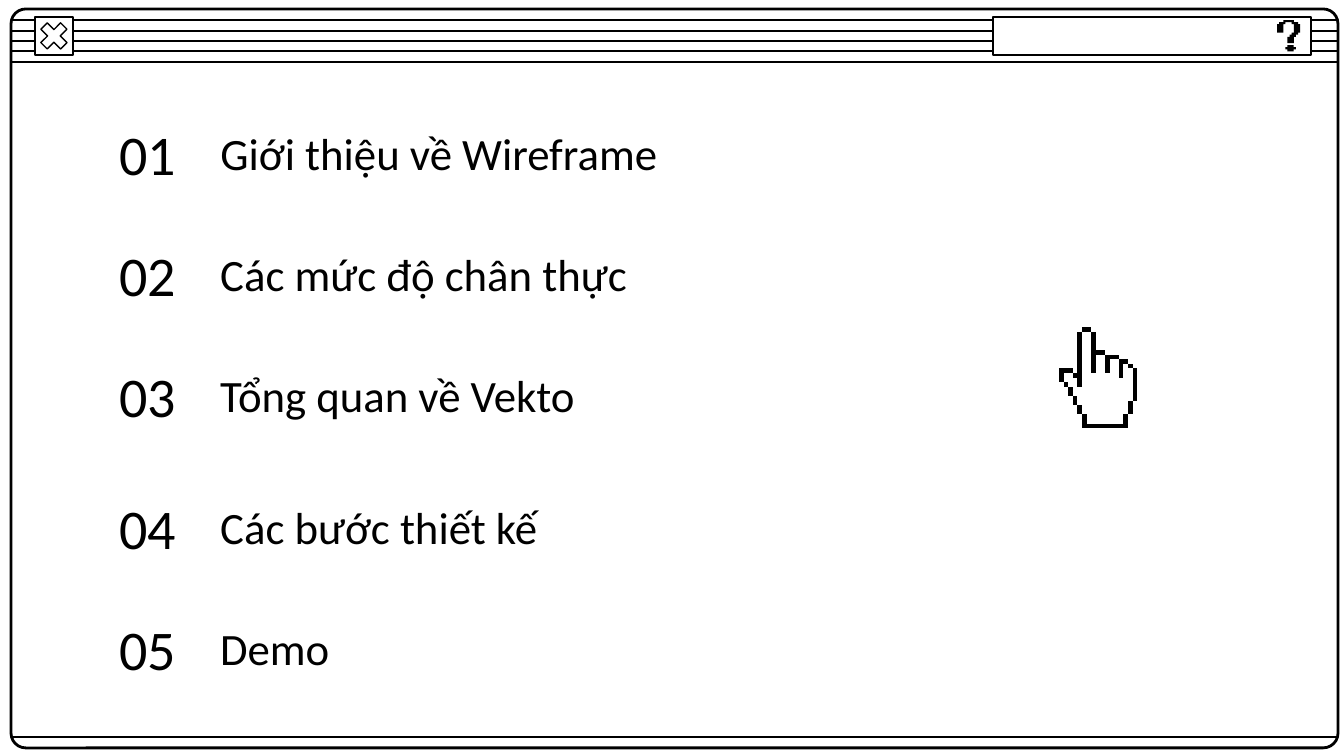
import lxml.etree
import pptx
import pptx.dml.color
import pptx.enum.shapes
import pptx.enum.text
import pptx.oxml.ns
import pptx.util

PX = 914400 / 134.4
SHAPE = pptx.enum.shapes.MSO_SHAPE
BLACK, WHITE = "000000", "FFFFFF"

AGENDA = [
    (130, "Giới thiệu về Wireframe"),
    (251, "Các mức độ chân thực"),
    (372, "Tổng quan về Vekto"),
    (504, "Các bước thiết kế"),
    (625, "Demo"),
]

# Pixel art is given in cells: corner points (col, row)
HOOK = [(3, 0), (3, 1), (1, 1), (1, 2), (0, 2), (0, 6), (3, 6), (3, 2),
        (4, 2), (4, 1), (7, 1), (7, 2), (8, 2), (8, 6), (7, 6), (7, 7),
        (6, 7), (6, 8), (5, 8), (5, 11), (8, 11), (8, 8), (9, 8), (9, 7),
        (10, 7), (10, 6), (11, 6), (11, 2), (10, 2), (10, 1), (8, 1), (8, 0)]
DOT = [(5, 12), (5, 13), (4, 13), (4, 14), (5, 14), (5, 15),
       (8, 15), (8, 14), (9, 14), (9, 13), (8, 13), (8, 12)]
HAND = [(5, 0), (5, 1), (4, 1), (4, 10), (3, 10), (3, 9), (0, 9), (0, 12),
        (1, 12), (1, 13), (2, 13), (2, 15), (3, 15), (3, 17), (4, 17), (4, 19),
        (5, 19), (5, 22), (15, 22), (15, 19), (16, 19), (16, 16), (17, 16),
        (17, 9), (16, 9), (16, 8), (15, 8), (15, 7), (13, 7), (13, 6),
        (10, 6), (10, 5), (8, 5), (8, 1), (7, 1), (7, 0)]
# Bars of the hand's edge: col, row, width, height
HAND_EDGE = [(4, 1, 1, 12), (5, 0, 2, 1), (7, 1, 1, 9), (8, 5, 2, 1),
             (10, 7, 1, 3), (10, 6, 3, 1), (13, 8, 1, 3), (13, 7, 2, 1),
             (15, 8, 1, 1), (16, 9, 1, 7), (15, 16, 1, 3), (14, 19, 1, 3),
             (5, 21, 9, 1), (3, 10, 1, 1), (0, 9, 3, 1), (0, 10, 1, 2),
             (1, 12, 1, 1), (2, 13, 1, 2), (3, 15, 1, 2), (4, 17, 1, 2),
             (5, 19, 1, 2)]


def px(n):
    return pptx.util.Emu(round(n * PX))


def rgb(color):
    return pptx.dml.color.RGBColor.from_string(color)


def bar(col, row, w, h):
    return [(col, row), (col, row + h), (col + w, row + h), (col + w, row)]


class Deck:
    font = "Calibri"
    ink = BLACK

    def __init__(self, slide):
        self.s = slide

    def line(self, x1, y1, x2, y2, weight=0.75):
        c = self.s.shapes.add_connector(
            pptx.enum.shapes.MSO_CONNECTOR.STRAIGHT, px(x1), px(y1), px(x2), px(y2))
        c.line.color.rgb = rgb(self.ink)
        c.line.width = pptx.util.Pt(weight)
        lxml.etree.SubElement(c._element.spPr, pptx.oxml.ns.qn("a:effectLst"))

    def shape(self, kind, x, y, w, h, fill=None, weight=0.75, adj=None):
        sp = self.s.shapes.add_shape(kind, px(x), px(y), px(w), px(h))
        sp.shadow.inherit = False
        if fill:
            sp.fill.solid()
            sp.fill.fore_color.rgb = rgb(fill)
        else:
            sp.fill.background()
        sp.line.color.rgb = rgb(self.ink)
        sp.line.width = pptx.util.Pt(weight)
        if adj is not None:
            sp.adjustments[0] = adj

    def pixel_art(self, x, y, cell, parts):
        """Group outlines drawn on a grid of cells; parts are (points, fill)."""
        group = self.s.shapes.add_group_shape()
        for points, fill in parts:
            builder = group.shapes.build_freeform(*points[0], scale=cell * PX)
            builder.add_line_segments(points[1:], close=True)
            sp = builder.convert_to_shape(px(x), px(y))
            sp.shadow.inherit = False
            sp.fill.solid()
            sp.fill.fore_color.rgb = rgb(fill)
            sp.line.fill.background()

    def text(self, text, x, y, w, h, size, sp=None):
        """Fill the placeholder sp, or a new text box."""
        if sp is None:
            sp = self.s.shapes.add_textbox(0, 0, 0, 0)
        sp.left, sp.top, sp.width, sp.height = px(x), px(y), px(w), px(h)
        tf = sp.text_frame
        tf.word_wrap = True
        tf.auto_size = pptx.enum.text.MSO_AUTO_SIZE.NONE
        tf.vertical_anchor = pptx.enum.text.MSO_ANCHOR.MIDDLE
        tf.margin_left = tf.margin_right = tf.margin_top = tf.margin_bottom = pptx.util.Inches(0.1)
        p = tf.paragraphs[0]
        p.alignment = pptx.enum.text.PP_ALIGN.LEFT
        r = p.add_run()
        r.text = text
        r.font.name = self.font
        r.font.size = pptx.util.Pt(size)
        r.font.color.rgb = rgb(self.ink)


def main():
    prs = pptx.Presentation()
    prs.slide_width, prs.slide_height = px(1344), px(756)
    s = prs.slides.add_slide(prs.slide_layouts[5])
    s.background.fill.solid()
    s.background.fill.fore_color.rgb = rgb(WHITE)
    deck = Deck(s)

    # Window frame
    for y in (20, 31, 41, 51, 62, 737):
        deck.line(11, y, 1337, y)
    deck.shape(SHAPE.ROUNDED_RECTANGLE, 11, 9, 1327, 739, weight=1.5, adj=0.02)

    # Title bar buttons
    deck.shape(SHAPE.RECTANGLE, 35, 17, 38, 38, WHITE)
    deck.shape(SHAPE.MATH_MULTIPLY, 35, 17, 38, 38, WHITE, adj=0.235)
    deck.shape(SHAPE.RECTANGLE, 993, 17, 318, 38, WHITE)
    deck.pixel_art(1277, 20, 2.1, [(DOT, BLACK), (HOOK, BLACK)])

    # The first topic takes the title placeholder
    title = s.shapes.title
    for i, (y, topic) in enumerate(AGENDA):
        deck.text(topic, 207, y, 728, 46, 24, title if i == 0 else None)
        deck.text(f"{i + 1:02}", 106, y, 102, 46, 30)

    edge = [(bar(*b), BLACK) for b in HAND_EDGE]
    deck.pixel_art(1059, 327, 4.6, [(HAND, WHITE)] + edge)

    prs.save("out.pptx")


if __name__ == "__main__":
    main()
